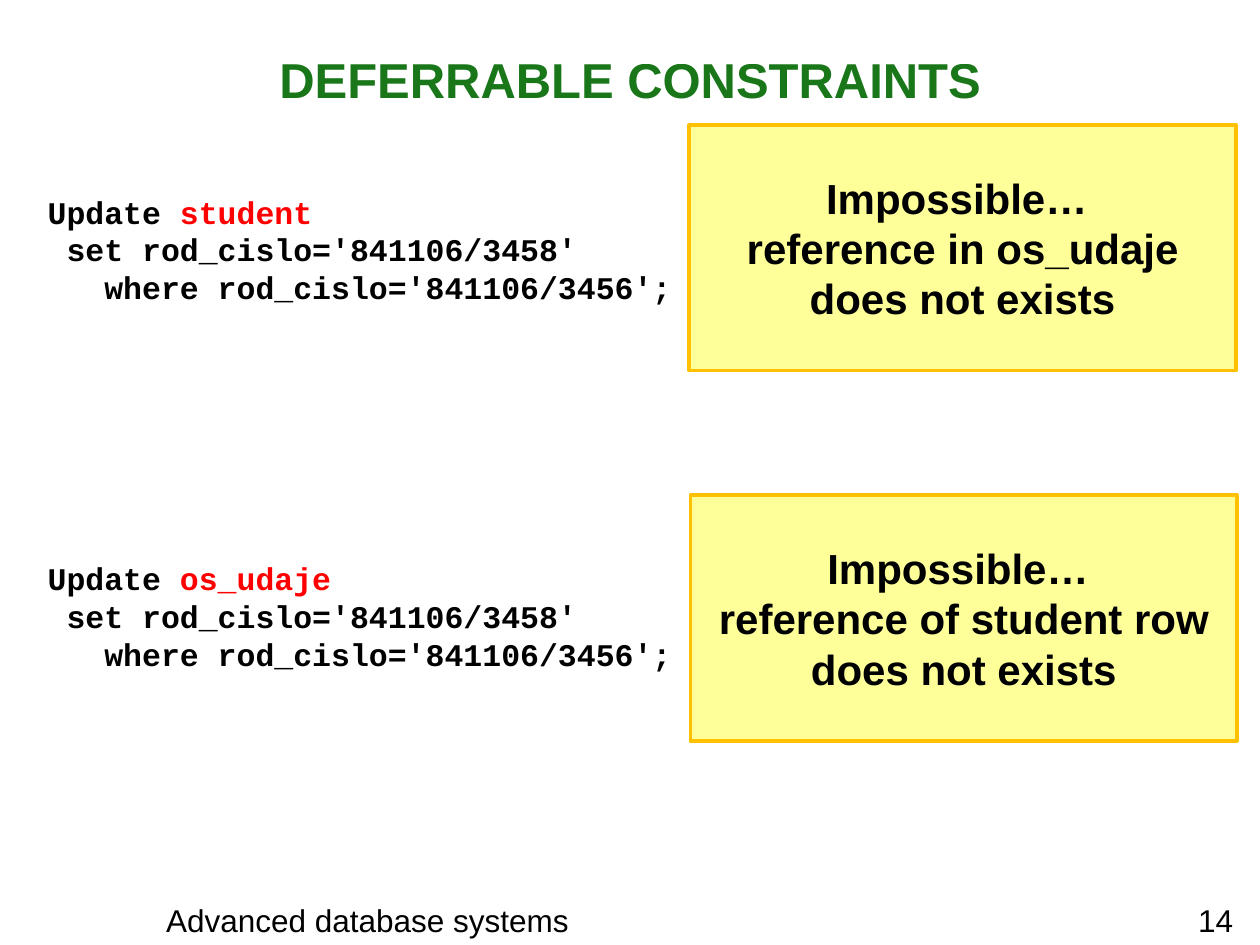
from dataclasses import dataclass

from lxml.etree import SubElement
from pptx import Presentation
from pptx.dml.color import RGBColor
from pptx.enum.shapes import MSO_SHAPE
from pptx.enum.text import MSO_ANCHOR, MSO_AUTO_SIZE, PP_ALIGN
from pptx.oxml.ns import qn
from pptx.util import Inches, Pt


@dataclass(frozen=True)
class Theme:
    text: RGBColor = RGBColor.from_string("000000")
    title: RGBColor = RGBColor.from_string("006800")
    table_name: RGBColor = RGBColor.from_string("FF0000")
    note_fill: RGBColor = RGBColor.from_string("FEFF99")
    note_line: RGBColor = RGBColor.from_string("FFC000")
    sans: str = "Arial"
    mono: str = "Courier New"
    title_size: int = 28
    note_size: int = 24
    text_size: int = 18


theme = Theme()


def style(paragraph, size, color, name=theme.sans, bold=True):
    font = paragraph.font
    font.name, font.size, font.bold = name, Pt(size), bold
    font.color.rgb = color


presentation = Presentation()
presentation.slide_width, presentation.slide_height = Inches(10), Inches(7.5)
slide = presentation.slides.add_slide(presentation.slide_layouts[5])

title = slide.shapes.title
title.left, title.top, title.width, title.height = 0, 0, Inches(10), Inches(1.25)
title.text_frame.text = "DEFERRABLE CONSTRAINTS"
title.text_frame.auto_size = MSO_AUTO_SIZE.NONE
title.text_frame.vertical_anchor = MSO_ANCHOR.MIDDLE
title_paragraph = title.text_frame.paragraphs[0]
title_paragraph.alignment = PP_ALIGN.CENTER
style(title_paragraph, theme.title_size, theme.title)
for color_element in title_paragraph._p.iter(qn("a:srgbClr")):
    SubElement(color_element, qn("a:alpha"), val="90000")

for text, left, width in [("Advanced database systems", 1.22, 3.43), ("14", 9.41, 0.51)]:
    footer = slide.shapes.add_textbox(Inches(left), Inches(7.1), Inches(width), Inches(0.4))
    footer.text_frame.word_wrap = False
    footer.text_frame.text = text
    style(footer.text_frame.paragraphs[0], theme.text_size, theme.text, bold=False)

updates = [
    ("student", 1.48, "reference in os_udaje does not exists", 5.47, 0.99),
    ("os_udaje", 4.39, "reference of student row does not exists", 5.48, 3.93),
]
character_width = 0.15
code_lines = [
    ("Update ", 0),
    ("set rod_cislo='841106/3458'", 1),
    ("where rod_cislo='841106/3456';", 3),
]

for table_name, code_top, reason, note_left, note_top in updates:
    code = slide.shapes.add_textbox(Inches(0.28), Inches(code_top), Inches(10.24), Inches(1.01))
    code.text_frame.word_wrap = True
    code.text_frame.text = "\n".join(line for line, indent in code_lines)
    for paragraph, (line, indent) in zip(code.text_frame.paragraphs, code_lines):
        style(paragraph, theme.text_size, theme.text, theme.mono)
        paragraph._p.get_or_add_pPr().set("marL", str(Inches(indent * character_width)))
    table_run = code.text_frame.paragraphs[0].add_run()
    table_run.text = table_name
    table_run.font.color.rgb = theme.table_name

    note = slide.shapes.add_shape(
        MSO_SHAPE.RECTANGLE, Inches(note_left), Inches(note_top), Inches(4.34), Inches(1.95)
    )
    note.shadow.inherit = False
    note.fill.solid()
    note.fill.fore_color.rgb = theme.note_fill
    note.line.color.rgb = theme.note_line
    note.line.width = Pt(2)
    note.text_frame.word_wrap = True
    note.text_frame.vertical_anchor = MSO_ANCHOR.MIDDLE
    note.text_frame.text = f"Impossible… \n{reason}"
    for paragraph in note.text_frame.paragraphs:
        paragraph.alignment = PP_ALIGN.CENTER
        style(paragraph, theme.note_size, theme.text)

presentation.save("out.pptx")
